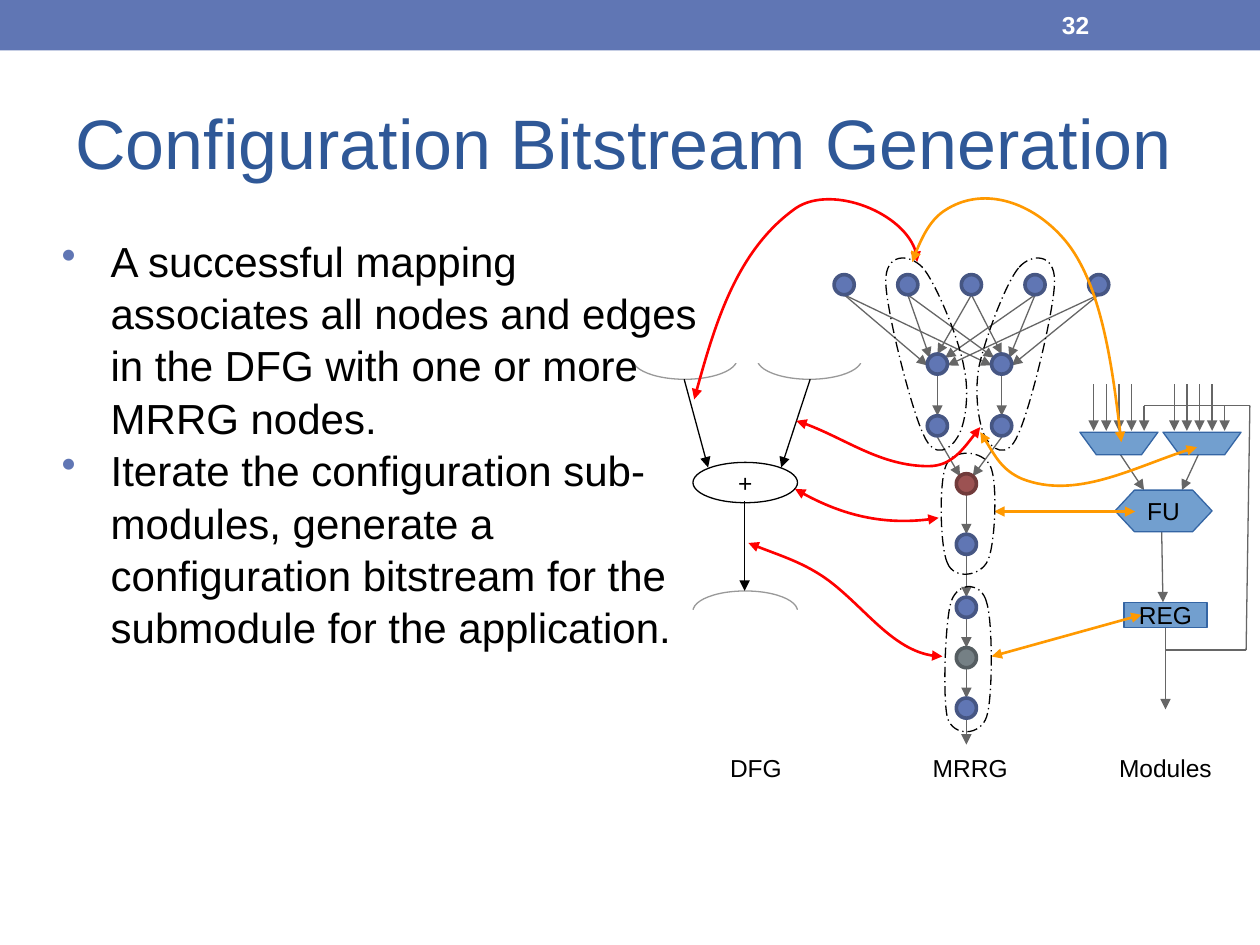
from lxml import etree
from pptx import Presentation
from pptx.dml.color import RGBColor
from pptx.enum import dml, shapes, text
from pptx.oxml import ns
from pptx.util import Inches, Pt

GRAY, BLACK, RED, ORANGE = "666666", "000000", "FF0000", "FF9900"
BLUE, WHITE = "6076B4", "FFFFFF"
MODULE = ("729FCF", "3465A4")
NODE, FU_NODE, REG_NODE = (BLUE, "465683"), ("9C5252", "713B3B"), ("758085", "555D61")
KIND = shapes.MSO_SHAPE

TITLE = "Configuration Bitstream Generation"
PAGE = "32"
BULLETS = [
    "A successful mapping associates all nodes and edges in the DFG with one or more MRRG nodes.",
    "Iterate the configuration sub-modules, generate a configuration bitstream for the submodule for the application.",
]
CAPTIONS = [("DFG", 5.62, 0.76), ("MRRG", 7.14, 1.12), ("Modules", 8.5, 1.5)]

MUX_INPUTS = [8.68, 9.32]
MUX_LEFTS = [8.57, 9.23]
MODULE_WIRES = [
    (8.88, 3.59, 9.08, 3.89), (9.52, 3.59, 9.38, 3.89),
    (9.22, 4.22, 9.23, 4.78), (9.25, 4.98, 9.25, 5.63),
]
FEEDBACK_WIRES = [(9.08, 3.22, 9.92, 3.22), (9.25, 5.16, 9.89, 5.16), (9.92, 3.22, 9.89, 5.16)]
MODULE_LINKS = [(7.89, 4.06, 9.01, 4.06), (7.87, 5.21, 9.06, 4.88)]

OPERANDS = [(5.02, 2.69), (6.01, 2.69), (5.5, 4.69)]
OPERAND_MASKS = [(4.91, 2.34), (4.98, 4.84)]
DFG_EDGES = [(6.43, 3.01, 6.2, 3.71), (5.43, 3.01, 5.62, 3.71), (5.91, 3.98, 5.91, 4.69)]

SOURCE_XS = [6.7 + 0.505 * i for i in range(5)]
MUX_XS = [7.44, 7.95]
ENTRY_OFFSETS = [(-0.08, 2.9), (-0.06, 2.84), (0, 2.81), (0.06, 2.84), (0.08, 2.9)]
CHAIN_X = 7.67
CHAIN = [(3.84, FU_NODE), (4.32, NODE), (4.82, NODE), (5.22, REG_NODE), (5.62, NODE)]
CHAIN_END = 5.91
NODE_R = 0.08

MAPPED_GROUPS = [
    [(7.32, 2.12), (7.21, 2.01), (7.03, 2.01), (7.03, 2.23), (7.03, 2.45), (7.23, 3.24), (7.33, 3.45),
     (7.42, 3.66), (7.55, 3.56), (7.6, 3.47), (7.66, 3.38), (7.7, 3.13), (7.65, 2.91),
     (7.61, 2.68), (7.42, 2.23), (7.32, 2.12)],
    [(7.52, 4.47), (7.57, 4.6), (7.78, 4.58), (7.84, 4.45), (7.9, 4.32), (7.92, 3.82), (7.86, 3.7),
     (7.8, 3.57), (7.56, 3.56), (7.51, 3.69), (7.45, 3.82), (7.46, 4.35), (7.52, 4.47)],
    [(7.83, 4.78), (7.79, 4.62), (7.61, 4.61), (7.55, 4.77), (7.5, 4.92), (7.48, 5.55), (7.52, 5.7),
     (7.57, 5.85), (7.78, 5.84), (7.83, 5.69), (7.88, 5.54), (7.88, 4.93), (7.83, 4.78)],
    [(8.09, 2.12), (8.19, 2.01), (8.37, 2.01), (8.37, 2.23), (8.37, 2.45), (8.18, 3.24), (8.08, 3.45),
     (7.99, 3.66), (7.87, 3.56), (7.82, 3.47), (7.77, 3.38), (7.73, 3.13), (7.77, 2.91),
     (7.82, 2.68), (7.99, 2.23), (8.09, 2.12)],
]
MAPPING_LINKS = [
    (RED, [(5.51, 3.17), (5.66, 2.62), (5.85, 1.98), (6.32, 1.65), (6.61, 1.46), (7.28, 1.73), (7.28, 2.08)]),
    (RED, [(6.32, 3.34), (6.67, 3.45), (6.99, 3.7), (7.37, 3.7), (7.55, 3.7), (7.68, 3.52), (7.78, 3.39)]),
    (RED, [(5.94, 4.31), (6.16, 4.4), (6.39, 4.47), (6.58, 4.61), (6.87, 4.83), (7.12, 5.21), (7.48, 5.21)]),
    (ORANGE, [(7.78, 3.43), (7.87, 3.57), (7.95, 3.73), (8.11, 3.8), (8.54, 3.97), (9.05, 3.68), (9.5, 3.55)]),
    (ORANGE, [(7.24, 2.08), (7.3, 1.91), (7.39, 1.74), (7.5, 1.67), (7.79, 1.48), (8.16, 1.59), (8.42, 1.87),
              (8.73, 2.2), (8.83, 2.91), (8.9, 3.51)]),
    (RED, [(6.31, 3.88), (6.64, 4.08), (7.07, 4.18), (7.45, 4.11)]),
]

deck = Presentation()
deck.slide_width, deck.slide_height = Inches(10), Inches(7.5)
slide = deck.slides.add_slide(deck.slide_layouts[6])


def rgb(value):
    return RGBColor.from_string(value)


def child(parent, tag, **attrs):
    return etree.SubElement(parent, ns.qn(tag), attrs)


def outline(part, color, width, heads=()):
    part.line.color.rgb = rgb(color)
    part.line.width = Pt(width)
    for head in heads:
        child(part.line._get_or_add_ln(), head, type="triangle")


def write(part, lines, size, color=BLACK, bold=False, align="LEFT", anchor="MIDDLE", inset=(0.1, 0.1), bullet=False):
    frame = part.text_frame
    layout = {"word_wrap": True, "vertical_anchor": text.MSO_ANCHOR[anchor],
              "margin_left": Inches(inset[0]), "margin_right": Inches(inset[0]),
              "margin_top": Inches(inset[1]), "margin_bottom": Inches(inset[1])}
    for key, value in layout.items():
        setattr(frame, key, value)
    for i, line in enumerate(lines):
        para = frame.add_paragraph() if i else frame.paragraphs[0]
        para.alignment = text.PP_ALIGN[align]
        if bullet:
            para.line_spacing = 1.04
            props = para._p.get_or_add_pPr()
            props.set("marL", str(Inches(0.5)))
            props.set("indent", str(Inches(-0.39)))
            child(child(props, "a:buClr"), "a:srgbClr", val=BLUE)
            child(props, "a:buChar", char="•")
        run = para.add_run()
        run.text = line
        for key, value in {"name": "Arial", "size": Pt(size), "bold": bold}.items():
            setattr(run.font, key, value)
        run.font.color.rgb = rgb(color)


def label(lines, box, size, **style):
    write(slide.shapes.add_textbox(*map(Inches, box)), lines, size, **style)


def block(kind, box, fill=None, line=None, width=0.75):
    part = slide.shapes.add_shape(kind, *map(Inches, box))
    part.shadow.inherit = False
    if fill:
        part.fill.solid()
        part.fill.fore_color.rgb = rgb(fill)
    else:
        part.fill.background()
    if line:
        outline(part, line, width)
    else:
        part.line.fill.background()
    return part


def wire(ends, color=GRAY, width=0.75, heads=("a:tailEnd",)):
    part = slide.shapes.add_connector(shapes.MSO_CONNECTOR.STRAIGHT, *map(Inches, ends))
    outline(part, color, width, heads)
    child(part._element.spPr, "a:effectLst")


def node(x, y, colors=NODE):
    block(KIND.OVAL, (x - NODE_R, y - NODE_R, 2 * NODE_R, 2 * NODE_R), *colors, width=2.08)


def bezier(a, b, c, d, t):
    s = 1 - t
    return s**3 * a + 3 * s * s * t * b + 3 * s * t * t * c + t**3 * d


def curve(points, color, width, heads=(), closed=False):
    emu = [(Inches(x), Inches(y)) for x, y in points]
    builder = slide.shapes.build_freeform(*emu[0])
    builder.add_line_segments(emu[1:], close=closed)
    part = builder.convert_to_shape()
    extents = []
    for axis in zip(*emu):
        values = [bezier(*axis[i:i + 4], t / 40) for i in range(0, len(axis) - 1, 3) for t in range(41)]
        extents.append((round(min(values)), round(max(values) - min(values))))
    (part.left, part.width), (part.top, part.height) = extents
    outline_path = part._element.spPr.find(".//" + ns.qn("a:path"))
    outline_path.set("w", str(part.width))
    outline_path.set("h", str(part.height))
    for old in list(outline_path):
        outline_path.remove(old)
    for i in range(0, len(emu), 3):
        step = child(outline_path, "a:cubicBezTo" if i else "a:moveTo")
        for x, y in emu[max(i - 2, 0):i + 1]:
            child(step, "a:pt", x=str(x - part.left), y=str(y - part.top))
    if closed:
        child(outline_path, "a:close")
    part.shadow.inherit = False
    part.fill.background()
    outline(part, color, width, heads)
    return part


BOTH = ("a:headEnd", "a:tailEnd")

block(KIND.RECTANGLE, (0, 0, 10, 0.4), BLUE)
label([TITLE], (0.5, 0.58, 9, 1.08), 40, color="2F5897")
label([PAGE], (8.33, 0.02, 1.17, 0.36), 14, color=WHITE, bold=True, inset=(0.1, 0.05))

for first in MUX_INPUTS:
    for i in range(5):
        x = first + 0.1 * i
        wire((x, 3.22 if i == 4 else 3.05, x, 3.42))
for ends in MODULE_WIRES:
    wire(ends)
for ends in FEEDBACK_WIRES:
    wire(ends, heads=())
for name, kind, box in [("FU", KIND.FLOWCHART_PREPARATION, (8.85, 3.89, 0.77, 0.33)),
                        ("REG", KIND.RECTANGLE, (8.92, 4.78, 0.66, 0.2))]:
    write(block(kind, box, *MODULE), [name], 14, align="CENTER", inset=(0.09, 0.04))
for left in MUX_LEFTS:
    mux = block(KIND.TRAPEZOID, (left, 3.43, 0.62, 0.18), *MODULE)
    mux.rotation = 180
    mux.adjustments[0] = 0.73
for ends in MODULE_LINKS:
    wire(ends, ORANGE, 1.5, BOTH)

write(block(KIND.OVAL, (5.5, 3.67, 0.83, 0.32), line=BLACK), ["+"], 14, align="CENTER")
for place in OPERANDS:
    block(KIND.OVAL, (*place, 0.83, 0.32), line="999999")
for ends in DFG_EDGES:
    wire(ends, BLACK)
for place in OPERAND_MASKS:
    block(KIND.RECTANGLE, (*place, 1.97, 0.54), WHITE)

for mux_x in MUX_XS:
    for source_x, (dx, y) in zip(SOURCE_XS, ENTRY_OFFSETS):
        wire((source_x, 2.34, mux_x + dx, y))
    wire((mux_x, 2.98, mux_x, 3.3))
    side = -0.05 if mux_x < CHAIN_X else 0.05
    wire((mux_x, 3.47, CHAIN_X + side, 3.78))
    for y in (2.89, 3.38):
        node(mux_x, y)
for x in SOURCE_XS:
    node(x, 2.26)
stops = [y - NODE_R for y, _ in CHAIN[1:]] + [CHAIN_END]
for (y, colors), stop in zip(CHAIN, stops):
    wire((CHAIN_X, y + NODE_R, CHAIN_X, stop))
    node(CHAIN_X, y, colors)

for points in MAPPED_GROUPS:
    curve(points, BLACK, 0.75, closed=True).line.dash_style = dml.MSO_LINE.LONG_DASH_DOT
for color, points in MAPPING_LINKS:
    curve(points, color, 1.5, BOTH)
for name, left, width in CAPTIONS:
    label([name], (left, 5.91, width, 0.36), 14, align="CENTER")
label(BULLETS, (0.28, 1.75, 5.38, 4.71), 24, anchor="TOP", bullet=True)

deck.save("out.pptx")
